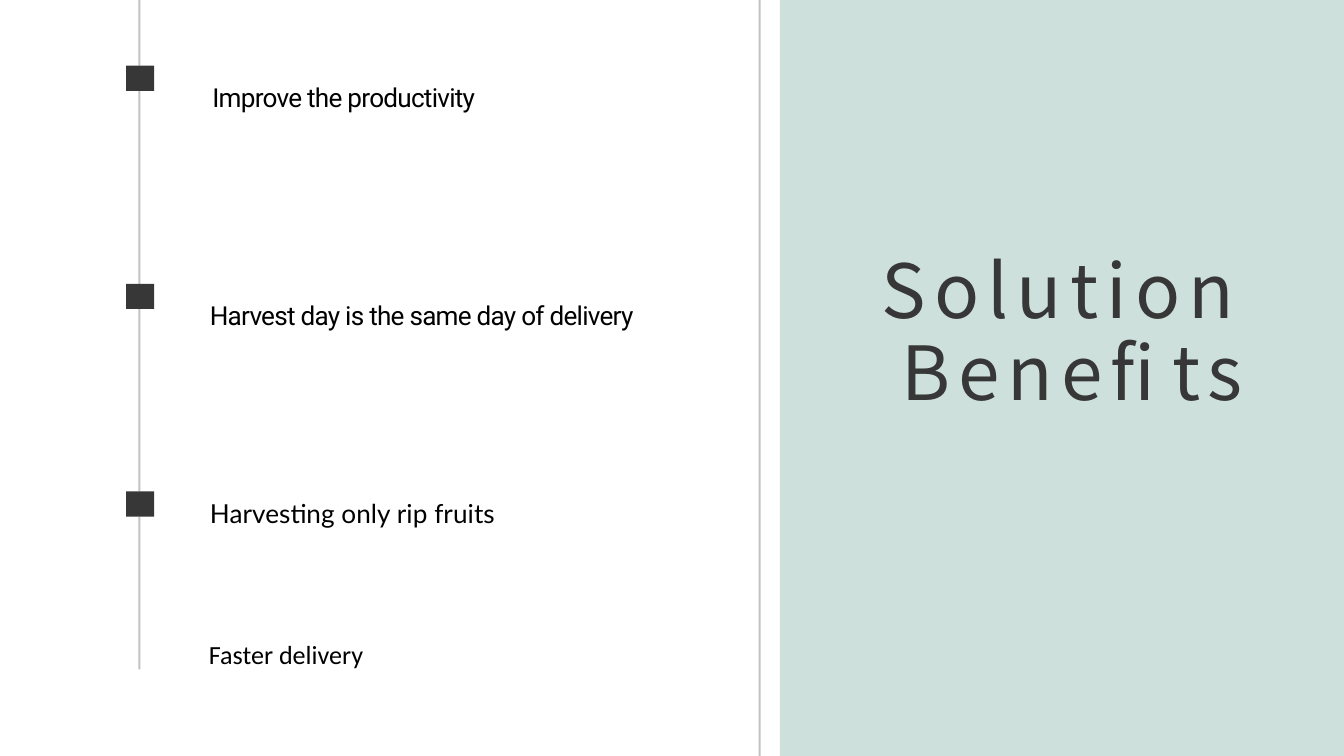
from lxml.etree import SubElement
from pptx import Presentation
from pptx.dml.color import RGBColor
from pptx.enum.text import MSO_AUTO_SIZE, PP_ALIGN
from pptx.oxml.ns import qn
from pptx.util import Pt

WHITE = RGBColor(0xFF, 0xFF, 0xFF)
GREEN = RGBColor(0x09, 0x66, 0x4D)
CHARCOAL = RGBColor(0x37, 0x37, 0x37)
BLACK = RGBColor(0, 0, 0)

WIDTH, HEIGHT = 1440, 810
PANEL_LEFT = 835.5
DIVIDER_LEFT = 812.9
LINE_WIDTH = 2.2
RAIL_LEFT, RAIL_TOP, RAIL_BOTTOM = 148.3, -92.9, 717.1
MARKER_LEFT, MARKER_WIDTH, MARKER_HEIGHT = 135.1, 30, 27
MARKER_TOPS = [70.4, 304.1, 526.6]
INDENT = 0.9

TITLE = "Solution Benefits"
# text, left, top, height, font, letter spacing, line spacing
BENEFITS = [
    ("Improve the productivity", 219.6, 25.2, 83.5, "Roboto", -0.8, 92.2),
    ("Harvest day is the same day of delivery", 216.9, 258.9, 83.5, "Roboto", -0.8, 92.2),
    ("Harvesting only rip fruits", 216.9, 470.5, 83.5, "Lato", 0.1, 92.2),
    ("Faster delivery", 216.7, 680.4, 41, "Calibri", 0, None),
]


def add_bars(page, left, width, spans, color, opacity=100):
    """Draw one outline holding a rectangle for each (top, bottom) span."""
    x1, x2 = Pt(left), Pt(left + width)
    builder = None
    for top, bottom in spans:
        y1, y2 = Pt(top), Pt(bottom)
        if builder is None:
            builder = page.shapes.build_freeform(x2, y2)
        else:
            builder.move_to(x2, y2)
        builder.add_line_segments([(x1, y2), (x1, y1), (x2, y1)], close=True)
    bars = builder.convert_to_shape()
    bars.shadow.inherit = False
    bars.line.fill.background()
    bars.fill.solid()
    bars.fill.fore_color.rgb = color
    if opacity < 100:
        tint = bars.fill._xPr.find(qn("a:solidFill"))[0]
        SubElement(tint, qn("a:alpha"), val=str(opacity * 1000))


def add_text(page, text, left, top, width, height, font, size, color, tracking, leading):
    """Add a one-paragraph box; return its frame and paragraph."""
    box = page.shapes.add_textbox(Pt(left), Pt(top), Pt(width), Pt(height))
    frame = box.text_frame
    frame.word_wrap = True
    frame.auto_size = MSO_AUTO_SIZE.SHAPE_TO_FIT_TEXT
    para = frame.paragraphs[0]
    span = para.add_run()
    span.text = text
    if tracking:
        span.font._element.set("spc", str(round(tracking * 100)))
    para.font.name = font
    para.font.size = Pt(size)
    para.font.color.rgb = color
    if leading:
        para.line_spacing = Pt(leading)
        para._p.get_or_add_pPr().set("marL", str(Pt(INDENT)))
    return frame, para


def add_title(page):
    frame, para = add_text(page, TITLE, 919.4, 258.9, 413.3, 188.6,
                           "Noto Sans CJK SC", 80, CHARCOAL, 8.8, 87.8)
    frame.margin_left = frame.margin_right = frame.margin_bottom = 0
    frame.margin_top = Pt(10.8)
    para.alignment = PP_ALIGN.RIGHT
    para._p.get_or_add_pPr().set("rtl", "1")


def add_timeline(page):
    markers = [(top, top + MARKER_HEIGHT) for top in MARKER_TOPS]
    starts = [RAIL_TOP] + [bottom for _, bottom in markers]
    rails = list(zip(starts, MARKER_TOPS + [RAIL_BOTTOM]))
    add_bars(page, RAIL_LEFT, LINE_WIDTH, rails, CHARCOAL, 30)
    add_bars(page, MARKER_LEFT, MARKER_WIDTH, markers, CHARCOAL)


def main():
    deck = Presentation()
    deck.slide_width, deck.slide_height = Pt(WIDTH), Pt(HEIGHT)
    page = deck.slides.add_slide(deck.slide_layouts[6])
    page.background.fill.solid()
    page.background.fill.fore_color.rgb = WHITE

    full_height = [(0, HEIGHT)]
    add_bars(page, PANEL_LEFT, WIDTH - PANEL_LEFT, full_height, GREEN, 20)
    add_title(page)
    add_bars(page, DIVIDER_LEFT, LINE_WIDTH, full_height, CHARCOAL, 30)
    add_timeline(page)
    for text, left, top, height, font, tracking, leading in BENEFITS:
        add_text(page, text, left, top, 720, height, font, 28, BLACK, tracking, leading)
    deck.save("out.pptx")


if __name__ == "__main__":
    main()
